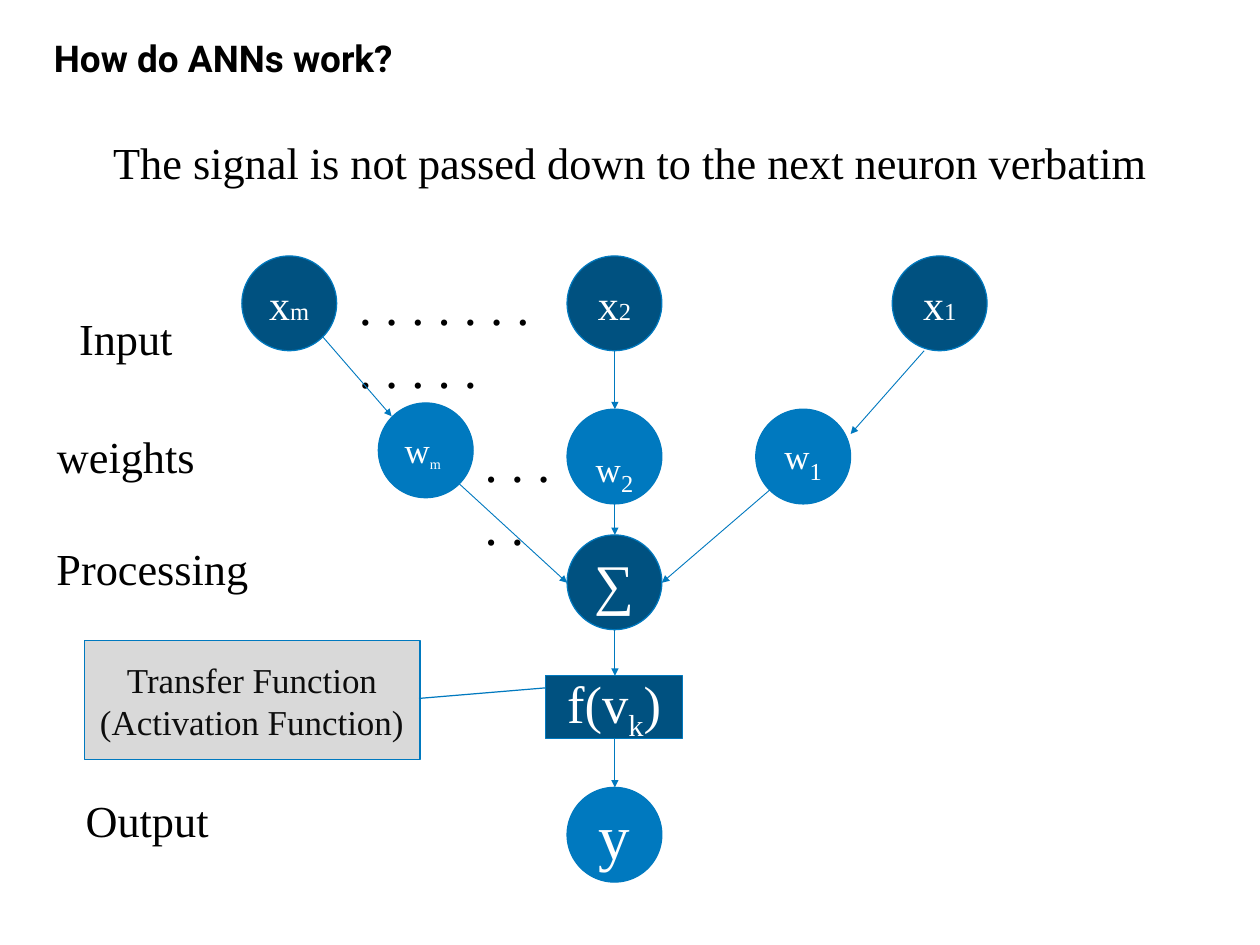
from lxml import etree
from pptx import Presentation
from pptx.dml.color import RGBColor
from pptx.enum.shapes import MSO_CONNECTOR, MSO_SHAPE
from pptx.enum.text import MSO_ANCHOR, PP_ALIGN
from pptx.oxml.ns import qn
from pptx.util import Inches, Pt

CIRCLE, RECTANGLE = MSO_SHAPE.OVAL, MSO_SHAPE.RECTANGLE
CALLOUT = MSO_SHAPE.LINE_CALLOUT_1
STRAIGHT = MSO_CONNECTOR.STRAIGHT
MIDDLE = MSO_ANCHOR.MIDDLE
LEFT, CENTER = PP_ALIGN.LEFT, PP_ALIGN.CENTER

NAVY, BLUE, GRAY = "005180", "0079BF", "D9D9D9"
WHITE, BLACK, INK = "FFFFFF", "000000", "0D0D0D"
SERIF = "Times New Roman"
DIAMETER = 1.07
AXIS = 6.94

rgb = RGBColor.from_string


def write(frame, pieces, color, align=CENTER):
    frame.word_wrap = True
    frame.margin_left = frame.margin_right = Inches(0.14)
    frame.margin_top = frame.margin_bottom = Inches(0.07)
    paragraph = frame.paragraphs[0]
    paragraph.alignment = align
    for text, size, baseline in pieces:
        run = paragraph.add_run()
        run.text = text
        run.font.name = SERIF
        run.font.size = Pt(size)
        run.font.color.rgb = rgb(color)
        if baseline:
            run.font._element.set("baseline", str(baseline * 1000))


def add_node(kind, left, top, width, height, fill, pieces, color=WHITE, align=CENTER):
    node = slide.shapes.add_shape(kind, Inches(left), Inches(top), Inches(width), Inches(height))
    node.shadow.inherit = False
    node.fill.solid()
    node.fill.fore_color.rgb = rgb(fill)
    node.line.color.rgb = rgb(BLUE)
    node.line.width = Pt(1)
    write(node.text_frame, pieces, color, align)
    node.text_frame.vertical_anchor = MIDDLE
    return node


presentation = Presentation()
presentation.slide_width = Inches(14.22)
presentation.slide_height = Inches(10.67)
slide = presentation.slides.add_slide(presentation.slide_layouts[6])

title = slide.shapes.add_textbox(Inches(0.51), Inches(0.41), Inches(8.91), Inches(0.56)).text_frame
title.word_wrap = True
heading = title.paragraphs[0]
heading.text = "How do ANNs work?"
heading.line_spacing = 0.9
heading_font = heading.runs[0].font
heading_font.name = "Roboto"
heading_font.size = Pt(30)
heading_font.bold = True
heading_font.color.rgb = rgb(BLACK)

transfer = add_node(CALLOUT, 0.95, 7.23, 3.79, 1.35, GRAY,
                    [("Transfer Function (Activation Function)", 28.4, 0)], INK)
for index, value in enumerate((0.486, 0.997, 0.391, 1.403)):
    transfer.adjustments[index] = value

for column, subscript in enumerate("m21"):
    add_node(CIRCLE, 2.73 + 3.67 * column, 2.89, DIAMETER, DIAMETER, NAVY,
             [("x", 34.1, 0), (subscript, 19.9, 0)])

weights = [
    (4.27, 4.55, "m", 19.9, LEFT, 0.07),
    (6.4, 4.62, "2", 34.1, CENTER, 0.35),
    (8.53, 4.62, "1", 34.1, CENTER, 0.07),
]
for left, top, subscript, size, align, inset in weights:
    weight = add_node(CIRCLE, left, top, DIAMETER, DIAMETER, BLUE,
                      [("w", 28.4, 0), (subscript, size, -25)], align=align)
    weight.text_frame.margin_top = Inches(inset)

add_node(CIRCLE, 6.4, 6.04, DIAMETER, DIAMETER, NAVY, [("∑", 45.5, 0)])
add_node(RECTANGLE, 6.16, 7.63, 1.54, 0.71, NAVY,
         [("f(v", 42.7, 0), ("k", 42.7, -25), (")", 42.7, 0)])
add_node(CIRCLE, 6.4, 8.89, DIAMETER, DIAMETER, BLUE, [("y", 51.2, 0)])

captions = [
    ("The signal is not passed down to the next neuron verbatim", 0.53, 1.46, 13.16, 0.75, 36, CENTER),
    ("Input", 0, 3.44, 2.84, 0.75, 36, CENTER),
    ("weights", 0, 4.78, 2.84, 0.75, 36, CENTER),
    ("Processing", 0, 6.04, 3.44, 0.75, 36, CENTER),
    ("Output", 0, 8.89, 3.32, 0.75, 36, CENTER),
    (". . . . . . . . . . . .", 3.91, 3.01, 2.25, 1.58, 42.7, LEFT),
    (". . . . .", 5.33, 4.79, 1.07, 2.3, 42.7, LEFT),
]
for text, left, top, width, height, size, align in captions:
    caption = slide.shapes.add_textbox(Inches(left), Inches(top), Inches(width), Inches(height))
    write(caption.text_frame, [(text, size, 0)], BLACK, align)

signals = [
    (3.64, 3.8, 4.42, 4.7),
    (AXIS, 3.96, AXIS, 4.62),
    (10.43, 3.96, 9.6, 4.9),
    (5.18, 5.46, 6.4, 6.58),
    (AXIS, 5.69, AXIS, 6.04),
    (8.69, 5.53, 7.47, 6.58),
    (AXIS, 7.11, AXIS, 7.63),
    (AXIS, 8.34, AXIS, 8.89),
]
for ends in signals:
    arrow = slide.shapes.add_connector(STRAIGHT, *[Inches(end) for end in ends])
    arrow.line.color.rgb = rgb(BLUE)
    arrow.line.width = Pt(0.75)
    etree.SubElement(arrow.line._get_or_add_ln(), qn("a:tailEnd"), type="triangle")
    etree.SubElement(arrow._element.spPr, qn("a:effectLst"))

presentation.save("out.pptx")
